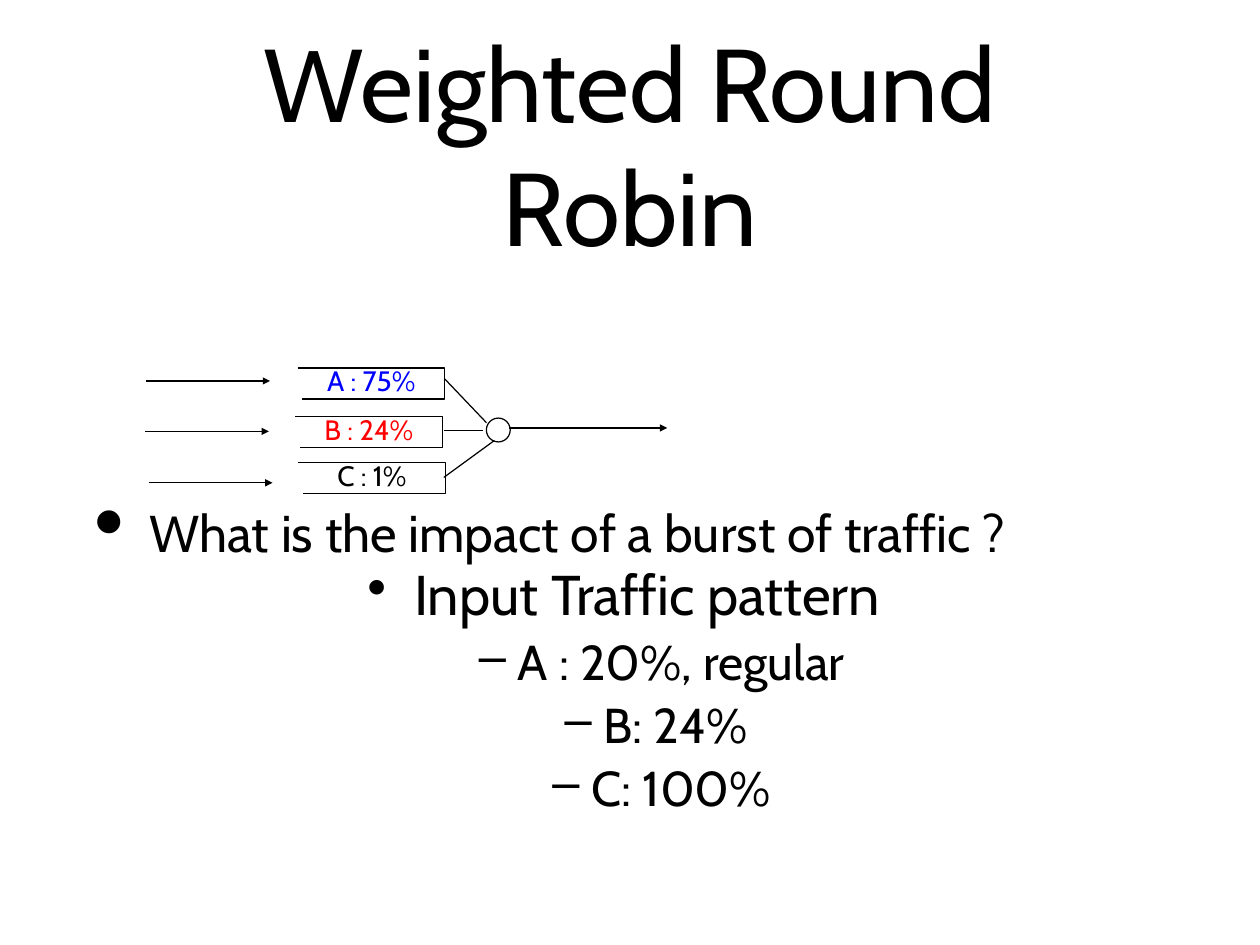
from dataclasses import dataclass
from typing import Any

from pptx import Presentation
from pptx import util as u
from pptx.dml import color
from pptx.enum import shapes, text
from pptx.oxml import ns, xmlchemy

Pt = u.Pt
CENTER, LEFT = text.PP_ALIGN.CENTER, text.PP_ALIGN.LEFT


@dataclass(frozen=True)
class Theme:
    font: str = "Cabin"
    black: str = "000000"
    blue: str = "0000FF"
    red: str = "FF0000"
    title: float = 84
    question: float = 42
    pattern: float = 45.5
    detail: float = 39.8
    queue: float = 22.8
    line: float = 1


@dataclass(frozen=True)
class Queue:
    label: str
    ink: str
    left: float
    top: float
    arrow: tuple[float, float]
    link: tuple[float, float, float, float]


THEME = Theme()
QUEUE_WIDTH, QUEUE_HEIGHT, QUEUE_NOTCH = 119.5, 25.2, 3.6
ARROW_LENGTH = 100.5

QUEUES = [
    Queue("A : 75%", THEME.blue, 242, 299, (119, 309.6), (361.5, 308, 395.3, 343.5)),
    Queue("B : 24%", THEME.red, 240, 338.2, (118, 350.6), (360.7, 350, 392.4, 350)),
    Queue("C : 1%", THEME.black, 242.5, 376, (121, 392.4), (360.7, 388, 401.8, 358)),
]


# Text
def write(para: Any, words: str, *, size: float, ink: str = THEME.black,
          align: Any = CENTER, before: float = 0, spacing: float = 1.0,
          level: int = 0, bullet: str = "", bullet_size: int = 100,
          margin: float = 0, hanging: float = 0) -> None:
    para.alignment, para.level = align, level
    para.space_before, para.line_spacing = Pt(before), spacing
    if bullet:
        properties = para._p.get_or_add_pPr()
        properties.set("marL", str(Pt(margin)))
        properties.set("indent", str(Pt(-hanging)))
        add_element(properties, "a:buSzPct", val=str(bullet_size * 1000))
        add_element(properties, "a:buChar", char=bullet)
    span = para.add_run()
    span.text = words
    span.font.name, span.font.size = THEME.font, Pt(size)
    span.font.color.rgb = color.RGBColor.from_string(ink)


def add_element(parent: Any, tag: str, **attributes: str) -> None:
    element = xmlchemy.OxmlElement(tag)
    for name, value in attributes.items():
        element.set(name, value)
    parent.append(element)


def set_frame(box: Any, *, anchor: Any, inset_x: float = 0, inset_y: float = 0,
              fit: Any = text.MSO_AUTO_SIZE.NONE) -> Any:
    frame = box.text_frame
    frame.word_wrap, frame.auto_size, frame.vertical_anchor = True, fit, anchor
    frame.margin_left = frame.margin_right = Pt(inset_x)
    frame.margin_top = frame.margin_bottom = Pt(inset_y)
    return frame


def add_box(page: Any, left: float, top: float, width: float, height: float,
            **options: Any) -> Any:
    box = page.shapes.add_textbox(Pt(left), Pt(top), Pt(width), Pt(height))
    return set_frame(box, **options)


# Drawing
def set_line(shape: Any) -> None:
    shape.line.color.rgb = color.RGBColor.from_string(THEME.black)
    shape.line.width = Pt(THEME.line)


def add_line(page: Any, x1: float, y1: float, x2: float, y2: float,
             arrow: bool = False) -> None:
    line = page.shapes.add_connector(
        shapes.MSO_CONNECTOR.STRAIGHT, Pt(x1), Pt(y1), Pt(x2), Pt(y2))
    set_line(line)
    properties = line._element.spPr
    if arrow:
        add_element(properties.find(ns.qn("a:ln")), "a:tailEnd", type="triangle")
    add_element(properties, "a:effectLst")


def set_outline(shape: Any) -> None:
    shape.shadow.inherit = False
    shape.fill.background()
    set_line(shape)


def add_queue(page: Any, queue: Queue) -> None:
    right, bottom = queue.left + QUEUE_WIDTH, queue.top + QUEUE_HEIGHT
    builder = page.shapes.build_freeform(Pt(queue.left), Pt(queue.top))
    corners = [(right, queue.top), (right, bottom), (queue.left + QUEUE_NOTCH, bottom)]
    builder.add_line_segments([(Pt(x), Pt(y)) for x, y in corners], close=False)
    set_outline(builder.convert_to_shape())

    frame = add_box(page, queue.left, queue.top + 1.1, QUEUE_WIDTH, 23,
                    anchor=text.MSO_ANCHOR.MIDDLE,
                    fit=text.MSO_AUTO_SIZE.SHAPE_TO_FIT_TEXT)
    write(frame.paragraphs[0], queue.label, size=THEME.queue, ink=queue.ink,
          spacing=0.84)

    x, y = queue.arrow
    add_line(page, x, y, x + ARROW_LENGTH, y, arrow=True)
    add_line(page, *queue.link)


def main() -> None:
    deck = Presentation()
    deck.slide_width, deck.slide_height = Pt(1024), Pt(768)
    page = deck.slides.add_slide(deck.slide_layouts[5])

    # Title
    title = page.shapes.title
    title.left, title.top, title.width, title.height = (
        Pt(100), Pt(20), Pt(824), Pt(192))
    frame = set_frame(title, anchor=text.MSO_ANCHOR.MIDDLE, inset_x=4.3, inset_y=4.3)
    write(frame.paragraphs[0], "Weighted Round Robin", size=THEME.title)

    # Question
    frame = add_box(page, 51, 179, 922, 507, anchor=text.MSO_ANCHOR.MIDDLE,
                    inset_x=4.3, inset_y=4.3)
    write(frame.paragraphs[0], "What is the impact of a burst of traffic ?",
          size=THEME.question, align=LEFT, bullet="•", bullet_size=171,
          margin=66.2, hanging=44.6)

    # Queues feeding the scheduler
    for queue in QUEUES:
        add_queue(page, queue)
    scheduler = page.shapes.add_shape(
        shapes.MSO_SHAPE.OVAL, Pt(395.3), Pt(339.8), Pt(19.4), Pt(19.4))
    set_outline(scheduler)
    add_line(page, 414, 347.8, 542.2, 347.8, arrow=True)

    # Input traffic pattern
    frame = add_box(page, 51, 457.2, 922, 229, anchor=text.MSO_ANCHOR.TOP,
                    inset_x=5, inset_y=3.6)
    write(frame.paragraphs[0], "Input Traffic pattern ", size=THEME.pattern,
          spacing=0.9, bullet="•", margin=38.2, hanging=38.2)
    for words in ("A : 20%, regular", "B: 24% ", "C: 100%"):
        write(frame.add_paragraph(), words, size=THEME.detail, before=8.5,
              spacing=0.9, level=1, bullet="–", margin=83.5, hanging=31.7)

    deck.save("out.pptx")


if __name__ == "__main__":
    main()
